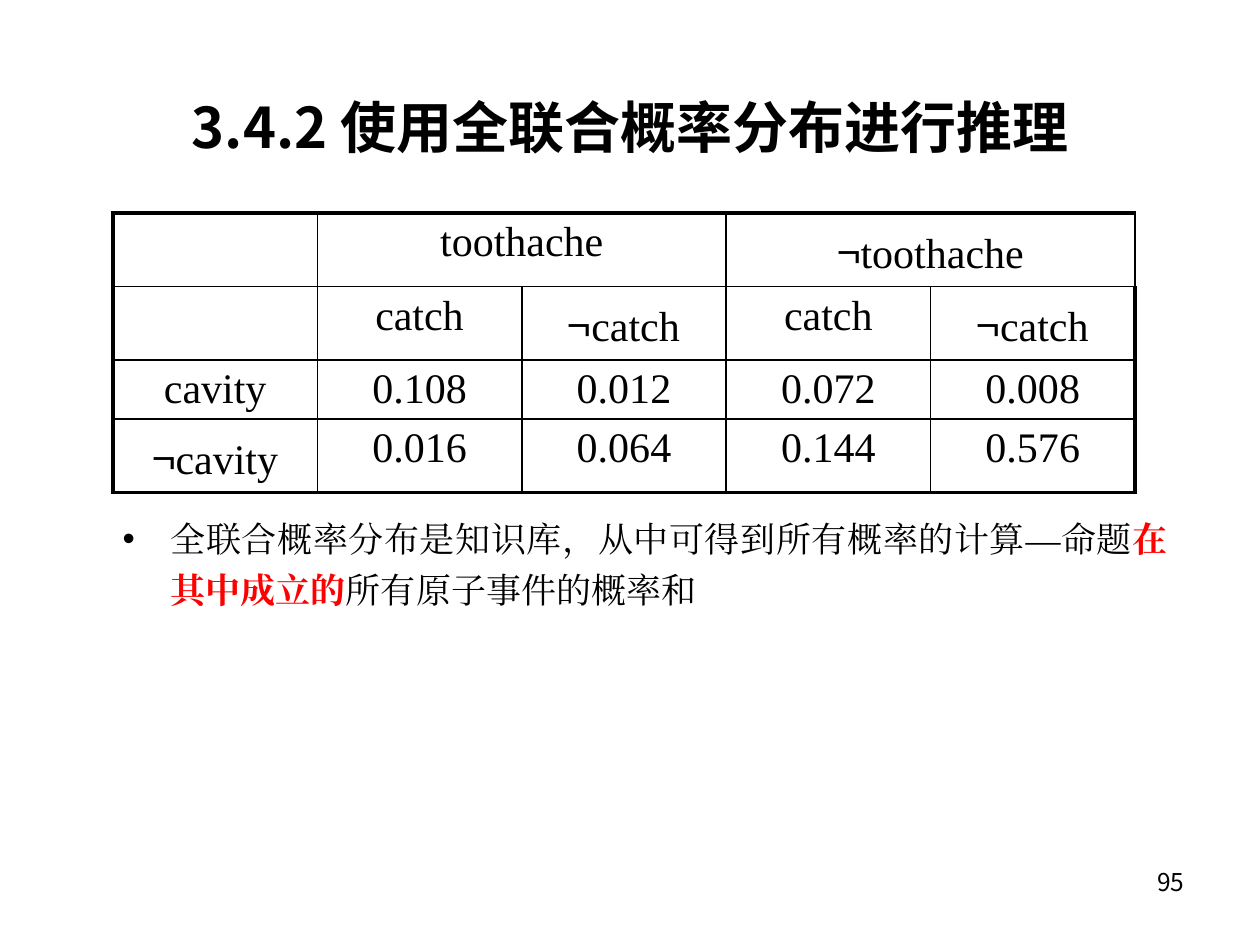
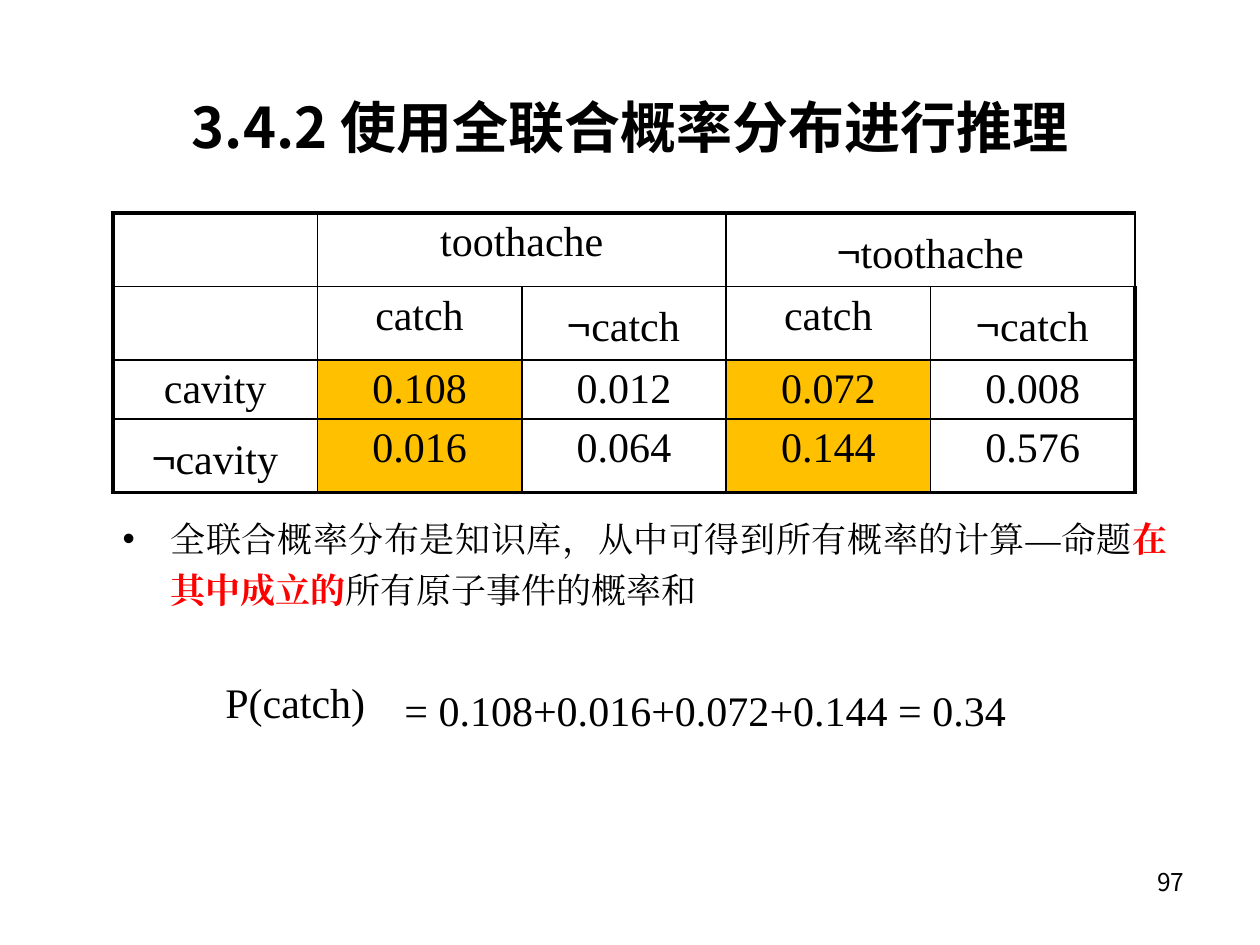
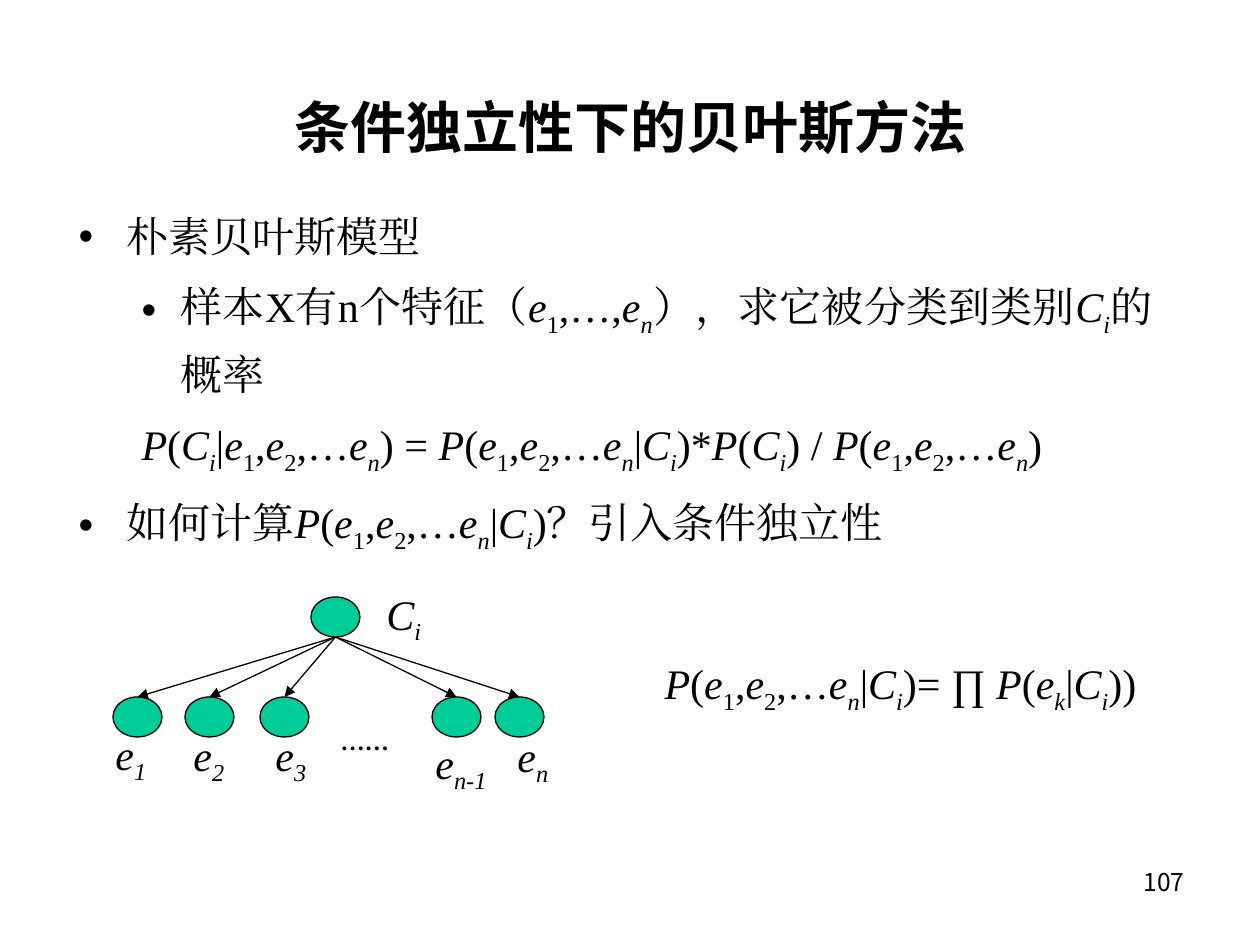
from dataclasses import dataclass

from lxml.etree import SubElement
from pptx import Presentation
from pptx.dml.color import RGBColor
from pptx.enum.shapes import MSO_CONNECTOR as Connector
from pptx.enum.shapes import MSO_SHAPE as Preset
from pptx.enum.text import MSO_ANCHOR as Anchor
from pptx.enum.text import MSO_AUTO_SIZE as AutoSize
from pptx.enum.text import PP_ALIGN as Align
from pptx.oxml.ns import qn
from pptx.util import Pt


@dataclass(frozen=True)
class Theme:
    ink: str = "000000"
    accent: str = "FF0000"
    highlight: str = "FFC000"
    node: str = "00CC99"
    title_font: str = "Noto Sans CJK SC"
    number_font: str = "Noto Sans CJK KR"
    body_font: str = "Times New Roman"
    bullet_font: str = "Arial"
    title_size: int = 32
    text_size: int = 24
    note_size: int = 20
    number_size: int = 14
    outer_line: float = 2.25
    inner_line: float = 1
    thin_line: float = 0.75
    line_spacing: float = 1.2
    gap: int = 5


THEME = Theme()
EMU_PER_PX = 914400 / 126
SLIDE_SIZE = (1260, 945)
TITLE_BOX = (95, 76, 1071, 101)
NUMBER_BOX = (903, 861, 294, 66)
TABLE_BOX = (113, 213, 1022, 232)
NOTE_BOX = (110, 503, 1070, 373)
SUM_BOX = (213, 668, 853, 74)
MODEL_BOX = (66, 194, 1099, 645)
TREE_BOX = (103, 582, 498, 213)
PRODUCT_BOX = (581, 640, 576, 74)

TOPIC = "3.4.2 使用全联合概率分布进行推理"
JOINT_ROWS = (
    ("", "toothache", "", "¬toothache", ""),
    ("", "catch", "¬catch", "catch", "¬catch"),
    ("cavity", "0.108", "0.012", "0.072", "0.008"),
    ("¬cavity", "0.016", "0.064", "0.144", "0.576"),
)
CATCH_CELLS = {(2, 1), (2, 3), (3, 1), (3, 3)}

EVIDENCE = "`e`_1_,`e`_2_,…`e_n_`"
CATEGORY = "`C_i_`"
LIKELIHOOD = f"`P`({EVIDENCE}|{CATEGORY})"
BAYES = (f"`P`({CATEGORY}|{EVIDENCE}) = {LIKELIHOOD}*`P`({CATEGORY})"
         f" / `P`({EVIDENCE})")
MODEL_LINES = (
    ("朴素贝叶斯模型", 0, 48, -48, True),
    (f"样本X有n个特征（`e`_1_,…,`e_n_`），求它被分类到类别{CATEGORY}的概率",
     1, 102, -39, True),
    (BAYES, 1, 63, 0, False),
    (f"如何计算{LIKELIHOOD}？引入条件独立性", 0, 48, -48, True),
)
FEATURES = (
    (10, 0, 140, "`e_1_`"),
    (82, 78, 141, "`e_2_`"),
    (157, 160, 141, "`e_3_`"),
    (329, 320, 149, "`e_n-1_`"),
    (392, 402, 142, "`e_n_`"),
)


def px(length):
    return round(length * EMU_PER_PX)


def emu_box(box):
    return [px(length) for length in box]


def rgb(colour):
    return RGBColor.from_string(colour)


def style(run, size, face=THEME.body_font, colour=THEME.ink,
          bold=False, italic=False, subscript=False):
    font = run.font
    font.size, font.bold, font.italic = Pt(size), bold, italic
    font.color.rgb = rgb(colour)
    font.name = face
    properties = font._element
    SubElement(properties, qn("a:ea")).set("typeface", face)
    if subscript:
        properties.set("baseline", "-25000")


def add_styled(paragraph, text, size, **look):
    run = paragraph.add_run()
    run.text = text
    style(run, size, **look)


def write_formula(paragraph, markup, bold=False):
    for i, part in enumerate(markup.split("`")):
        for j, piece in enumerate(part.split("_")):
            if piece:
                add_styled(paragraph, piece, THEME.text_size, bold=bold,
                           italic=i % 2 == 1, subscript=j % 2 == 1)


def set_layout(paragraph, left=0, hang=0, bullet=False, align=Align.JUSTIFY):
    paragraph.alignment = align
    paragraph.line_spacing = THEME.line_spacing
    properties = paragraph._p.get_or_add_pPr()
    properties.set("marL", str(px(left)))
    properties.set("indent", str(px(hang)))
    if bullet:
        SubElement(properties, qn("a:buFont")).set("typeface", THEME.bullet_font)
        SubElement(properties, qn("a:buChar")).set("char", "•")
    else:
        SubElement(properties, qn("a:buNone"))


def add_text_frame(shapes, box, wrap=True, grow=True):
    frame = shapes.add_textbox(*emu_box(box)).text_frame
    frame.word_wrap = wrap
    frame.auto_size = AutoSize.SHAPE_TO_FIT_TEXT if grow else AutoSize.NONE
    return frame


def fill_placeholder(placeholder, box):
    (placeholder.left, placeholder.top,
     placeholder.width, placeholder.height) = emu_box(box)
    frame = placeholder.text_frame
    frame.auto_size = AutoSize.NONE
    return frame


def start_slide(deck, title, number):
    slide = deck.slides.add_slide(deck.slide_layouts[1])
    heading = fill_placeholder(slide.shapes.title, TITLE_BOX)
    heading.text = title
    heading.vertical_anchor = Anchor.MIDDLE
    heading.paragraphs[0].alignment = Align.CENTER
    style(heading.paragraphs[0].runs[0], THEME.title_size,
          face=THEME.title_font, bold=True)
    page = add_text_frame(slide.shapes, NUMBER_BOX, grow=False)
    page.text = str(number)
    page.paragraphs[0].alignment = Align.RIGHT
    style(page.paragraphs[0].runs[0], THEME.number_size, face=THEME.number_font)
    return slide


def set_borders(cell, row, column, last_row, last_column):
    outer_sides = (("a:lnL", column == 0), ("a:lnR", column == last_column),
                   ("a:lnT", row == 0), ("a:lnB", row == last_row))
    properties = cell._tc.get_or_add_tcPr()
    for place, (side, outer) in enumerate(outer_sides):
        line = SubElement(properties, qn(side))
        line.set("w", str(Pt(THEME.outer_line if outer else THEME.inner_line)))
        paint = SubElement(line, qn("a:solidFill"))
        SubElement(paint, qn("a:srgbClr")).set("val", THEME.ink)
        properties.insert(place, line)


def write_cell(cell, label):
    paragraph = cell.text_frame.paragraphs[0]
    paragraph.alignment = Align.CENTER
    if label.startswith("¬"):
        add_styled(paragraph, "¬", THEME.text_size, face=THEME.title_font)
    add_styled(paragraph, label.removeprefix("¬"), THEME.text_size)


def add_joint_table(slide, box, highlighted):
    last_row, last_column = len(JOINT_ROWS) - 1, len(JOINT_ROWS[0]) - 1
    joint = slide.shapes.add_table(last_row + 1, last_column + 1,
                                   *emu_box(box)).table
    joint.first_row = joint.horz_banding = False
    for first in (1, 3):
        joint.cell(0, first).merge(joint.cell(0, first + 1))
    for row, labels in enumerate(JOINT_ROWS):
        for column, label in enumerate(labels):
            cell = joint.cell(row, column)
            if (row, column) in highlighted:
                cell.fill.solid()
                cell.fill.fore_color.rgb = rgb(THEME.highlight)
            else:
                cell.fill.background()
            set_borders(cell, row, column, last_row, last_column)
            if label:
                write_cell(cell, label)


def add_note(slide, box):
    note = fill_placeholder(slide.placeholders[1], box).paragraphs[0]
    set_layout(note, 48, -48, bullet=True)
    add_styled(note, "全联合概率分布是知识库，从中可得到所有概率的计算—命题",
               THEME.note_size)
    add_styled(note, "在其中成立的", THEME.note_size,
               colour=THEME.accent, bold=True)
    add_styled(note, "所有原子事件的概率和", THEME.note_size)


def add_sum(slide, box):
    left, top, width, height = box
    event = add_text_frame(slide.shapes, (left, top + 2, 166, 64), wrap=False)
    write_formula(event.paragraphs[0], "P(catch)")
    total = add_text_frame(slide.shapes, (left + 116, top, width - 116, height))
    set_layout(total.paragraphs[0], 63)
    write_formula(total.paragraphs[0], "= 0.108+0.016+0.072+0.144 = 0.34")


def add_model(slide, box):
    frame = fill_placeholder(slide.placeholders[1], box)
    for i, (markup, level, left, hang, bullet) in enumerate(MODEL_LINES):
        paragraph = frame.add_paragraph() if i else frame.paragraphs[0]
        paragraph.level = level
        paragraph.space_before = Pt(THEME.gap if i else 0)
        set_layout(paragraph, left, hang, bullet)
        write_formula(paragraph, markup)


def add_node(shapes, left, top):
    node = shapes.add_shape(Preset.OVAL, *emu_box((left, top, 49, 40)))
    node.shadow.inherit = False
    node.fill.solid()
    node.fill.fore_color.rgb = rgb(THEME.node)
    node.line.color.rgb = rgb(THEME.ink)
    node.line.width = Pt(THEME.thin_line)
    return node


def add_arrow(shapes, parent, child):
    start_x = parent.left + parent.width // 2
    arrow = shapes.add_connector(Connector.STRAIGHT, start_x,
                                 parent.top + parent.height,
                                 child.left + child.width // 2, child.top)
    arrow.end_connect(child, 0)
    arrow.line.color.rgb = rgb(THEME.ink)
    arrow.line.width = Pt(THEME.thin_line)
    SubElement(arrow.line._get_or_add_ln(), qn("a:tailEnd")).set("type", "triangle")
    SubElement(arrow._element.spPr, qn("a:effectLst"))


def add_tree(slide, box):
    left, top = box[:2]
    shapes = slide.shapes.add_group_shape().shapes
    category = add_node(shapes, left + 208, top + 15)
    features = [add_node(shapes, left + x, top + 115) for x, *_ in FEATURES]
    for feature in features:
        add_arrow(shapes, category, feature)
    labels = [(271, 0, CATEGORY)] + [label for _, *label in FEATURES]
    for x, y, markup in labels:
        label = add_text_frame(shapes, (left + x, top + y, 96, 64))
        write_formula(label.paragraphs[0], markup)
    dots = add_text_frame(shapes, (left + 226, top + 110, 96, 47))
    write_formula(dots.paragraphs[0], "`_……_`", bold=True)


def add_product(slide, box):
    product = add_text_frame(slide.shapes, box, wrap=False).paragraphs[0]
    set_layout(product, 63, align=Align.CENTER)
    write_formula(product, f"{LIKELIHOOD}= ∏ `P`(`e_k_`|{CATEGORY}))")


def add_joint_slide(deck, number, highlighted=frozenset()):
    slide = start_slide(deck, TOPIC, number)
    add_note(slide, NOTE_BOX)
    add_joint_table(slide, TABLE_BOX, highlighted)
    return slide


def add_bayes_slide(deck, number):
    slide = start_slide(deck, "条件独立性下的贝叶斯方法", number)
    add_model(slide, MODEL_BOX)
    add_tree(slide, TREE_BOX)
    add_product(slide, PRODUCT_BOX)


def main():
    deck = Presentation()
    deck.slide_width, deck.slide_height = emu_box(SLIDE_SIZE)
    add_joint_slide(deck, 95)
    add_sum(add_joint_slide(deck, 97, CATCH_CELLS), SUM_BOX)
    add_bayes_slide(deck, 107)
    deck.save("out.pptx")


if __name__ == "__main__":
    main()
